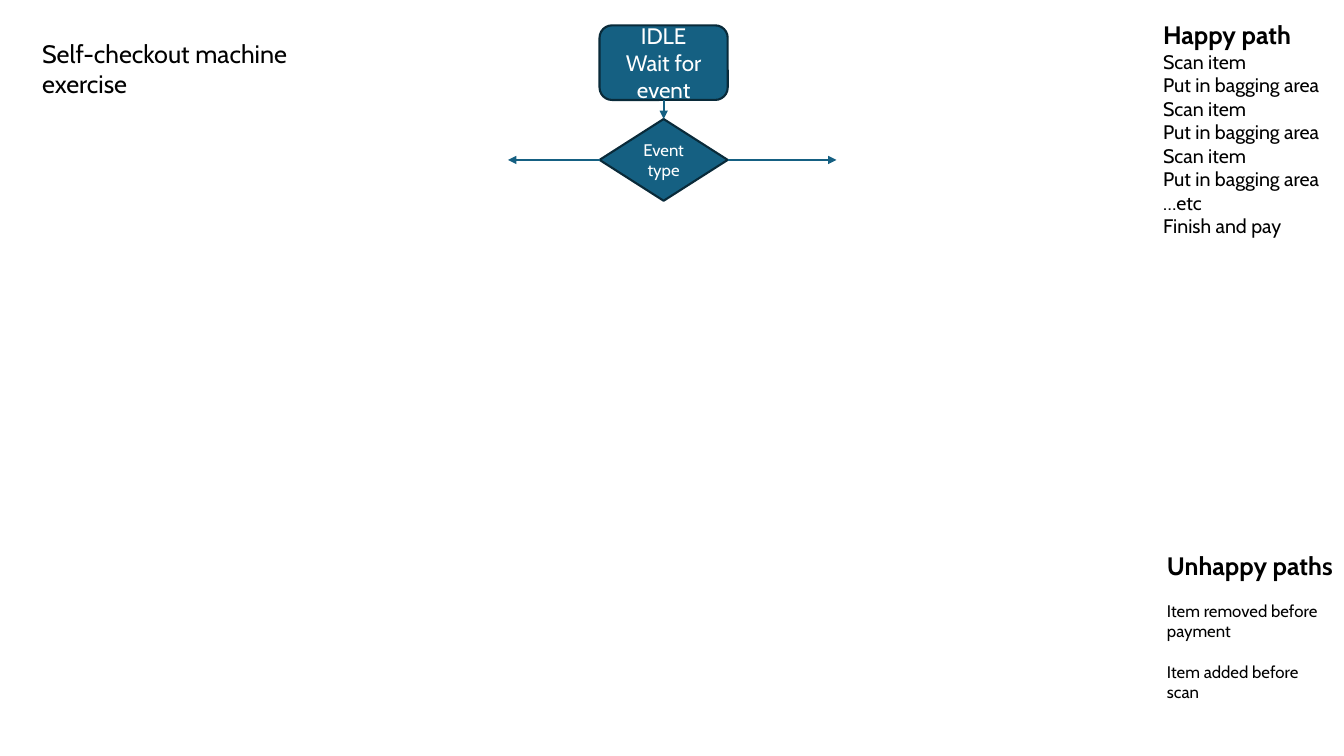
from dataclasses import dataclass

from lxml.etree import SubElement
from pptx import Presentation
from pptx.dml.color import RGBColor
from pptx.enum.shapes import MSO_CONNECTOR, MSO_SHAPE
from pptx.enum.text import MSO_ANCHOR, PP_ALIGN
from pptx.oxml.ns import qn
from pptx.util import Cm, Pt


@dataclass(frozen=True)
class Theme:
    font: str = "Cabin"
    ink: RGBColor = RGBColor(0x00, 0x00, 0x00)
    paper: RGBColor = RGBColor(0xFF, 0xFF, 0xFF)
    node: RGBColor = RGBColor(0x15, 0x60, 0x82)
    outline: RGBColor = RGBColor(0x09, 0x2A, 0x39)
    stroke: Pt = Pt(1.5)
    heading: Pt = Pt(18)
    state: Pt = Pt(16)
    body: Pt = Pt(14)
    small: Pt = Pt(12)
    blank_line: Pt = Pt(14.6)


@dataclass(frozen=True)
class Box:
    left: float
    top: float
    width: float
    height: float

    def lengths(self):
        return Cm(self.left), Cm(self.top), Cm(self.width), Cm(self.height)


THEME = Theme()


def format_runs(para, size, color, bold=False):
    for span in para.runs:
        span.font.name = THEME.font
        span.font.size = size
        span.font.bold = bold
        span.font.color.rgb = color


def add_note(page, box, heading, lines=(), size=THEME.body, gap=Pt(0), bold=True):
    frame = page.shapes.add_textbox(*box.lengths()).text_frame
    frame.word_wrap = True
    frame.text = "\n".join([heading, *lines])
    first, *rest = frame.paragraphs
    format_runs(first, THEME.heading, THEME.ink, bold)
    for para in rest:
        para.space_before = gap
        format_runs(para, size, THEME.ink)


def add_node(page, preset, box, text, size):
    node = page.shapes.add_shape(preset, *box.lengths())
    node.shadow.inherit = False
    node.fill.solid()
    node.fill.fore_color.rgb = THEME.node
    node.line.color.rgb = THEME.outline
    node.line.width = THEME.stroke
    frame = node.text_frame
    frame.word_wrap = True
    frame.vertical_anchor = MSO_ANCHOR.MIDDLE
    frame.text = text
    for para in frame.paragraphs:
        para.alignment = PP_ALIGN.CENTER
        format_runs(para, size, THEME.paper)
    return node


def add_arrow(page, source, side, end_x, end_y):
    arrow = page.shapes.add_connector(MSO_CONNECTOR.STRAIGHT, 0, 0, end_x, end_y)
    arrow.begin_connect(source, side)
    arrow.line.color.rgb = THEME.node
    arrow.line.width = THEME.stroke
    SubElement(arrow.line._get_or_add_ln(), qn("a:tailEnd"), type="triangle")
    SubElement(arrow._element.spPr, qn("a:effectLst"))
    return arrow


def add_flow(page, box):
    idle_box = Box(box.left + 2.31, box.top, 3.23, 1.88)
    event_box = Box(idle_box.left, box.top + 2.36, idle_box.width, 2.06)
    idle = add_node(page, MSO_SHAPE.ROUNDED_RECTANGLE, idle_box,
                    "IDLE\nWait for event", THEME.state)
    event = add_node(page, MSO_SHAPE.FLOWCHART_DECISION, event_box,
                     "Event type", THEME.small)
    add_arrow(page, idle, 2, event.left + event.width // 2, event.top).end_connect(event, 0)
    middle = event.top + event.height // 2
    for side, end_x in ((1, box.left), (3, box.left + box.width)):
        add_arrow(page, event, side, Cm(end_x), middle)


def main():
    deck = Presentation()
    deck.slide_width, deck.slide_height = Cm(33.87), Cm(19.05)
    page = deck.slides.add_slide(deck.slide_layouts[6])
    add_note(page, Box(0.81, 0.84, 7.37, 1.8), "Self-checkout machine exercise", bold=False)
    add_flow(page, Box(12.8, 0.64, 8.28, 4.42))
    add_note(page, Box(29.06, 0.36, 5.46, 6.4), "Happy path",
             ["Scan item", "Put in bagging area"] * 3 + ["…etc", "Finish and pay"])
    add_note(page, Box(29.16, 13.74, 4.7, 4.88), "Unhappy paths",
             ["Item removed before payment", "Item added before scan"],
             THEME.small, THEME.blank_line)
    deck.save("out.pptx")


if __name__ == "__main__":
    main()
